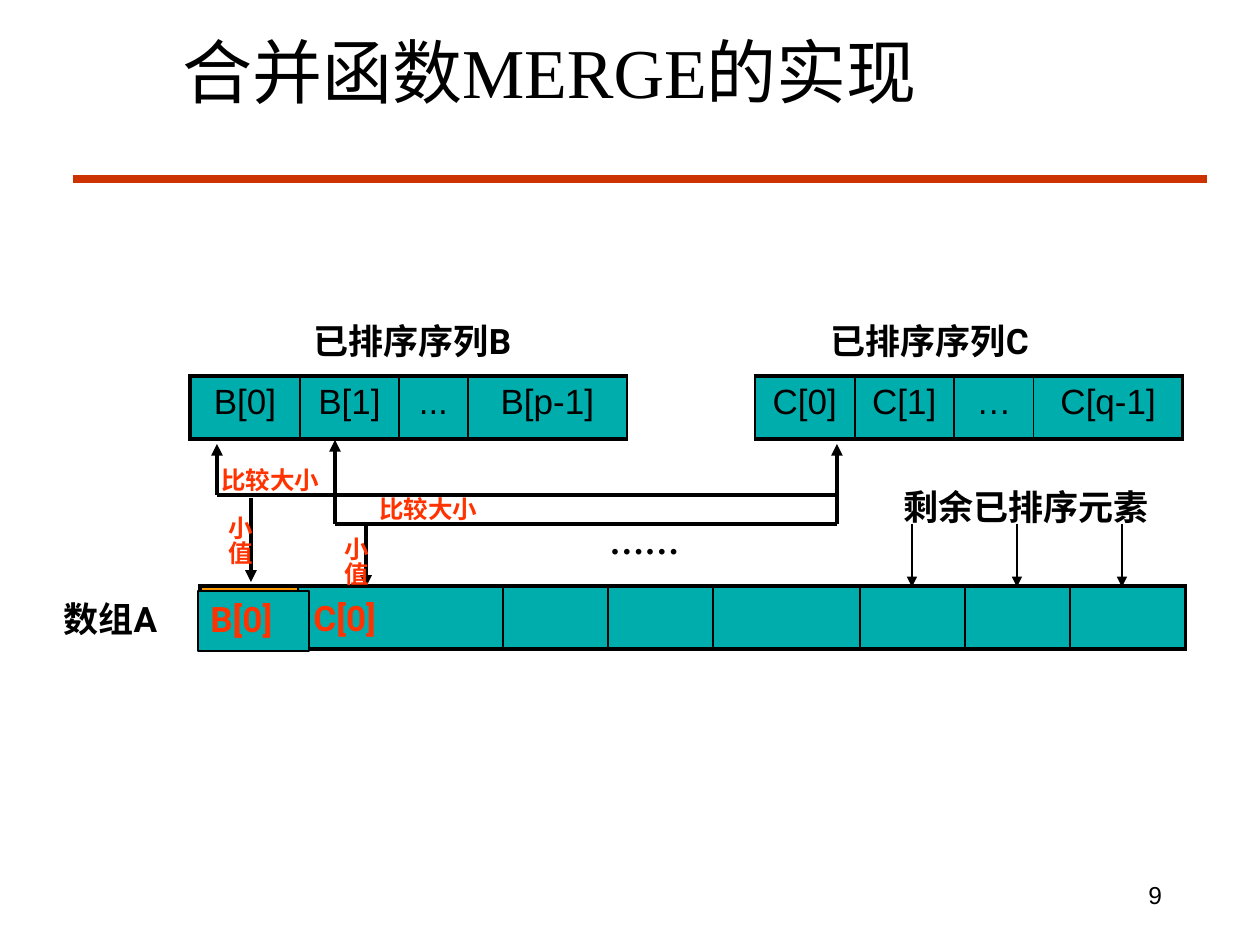
from lxml import etree
from pptx import Presentation
from pptx.dml.color import RGBColor
from pptx.enum import shapes, text
from pptx.oxml.ns import qn
from pptx.util import Pt

SCALE = 914400 / 126  # EMU per px
COLORS = {"ink": "000000", "rule": "CC3300", "teal": "00ADAD",
          "orange": "FF9900", "white": "FFFFFF", "red": "FF3300"}
HEADING = {"name": "Times New Roman", "size": Pt(40), "bold": False}
LABEL = {"name": "Roboto", "size": Pt(20), "bold": True}
NOTE = {"name": "Roboto", "size": Pt(14), "bold": True}
DOTS = {"name": "Times New Roman", "size": Pt(20), "bold": True}
CELL = {"name": "Arial", "size": Pt(20), "bold": False}
PAGE = {"name": "Arial", "size": Pt(14), "bold": False}
THICK, THIN = 2.25, 1


def px(*lengths):
    return [round(length * SCALE) for length in lengths]


def color(name):
    return RGBColor.from_string(COLORS[name])


def write(frame, words, style, ink="ink", align=text.PP_ALIGN.LEFT):
    paragraph = frame.paragraphs[0]
    paragraph.alignment = align
    run = paragraph.add_run()
    run.text = words
    for key, value in style.items():
        setattr(run.font, key, value)
    run.font.color.rgb = color(ink)


def fit_frame(frame):
    frame.word_wrap = False
    frame.auto_size = text.MSO_AUTO_SIZE.SHAPE_TO_FIT_TEXT
    frame.vertical_anchor = text.MSO_ANCHOR.TOP


def add_label(slide, box, words, style, ink="ink", vertical=False):
    frame = slide.shapes.add_textbox(*px(*box)).text_frame
    fit_frame(frame)
    if vertical:
        frame._txBody.bodyPr.set("vert", "eaVert")
    write(frame, words, style, ink)


def add_line(slide, start, end, width=THICK, arrow=False, ink="ink"):
    line = slide.shapes.add_connector(shapes.MSO_CONNECTOR.STRAIGHT, *px(*start, *end))
    line.line.width = Pt(width)
    line.line.color.rgb = color(ink)
    if arrow:
        etree.SubElement(line.line._get_or_add_ln(), qn("a:tailEnd"), type="triangle")
    etree.SubElement(line._element.spPr, qn("a:effectLst"))


def set_borders(cell, widths):
    """Widths in points for left, right, top and bottom; 0 hides the edge."""
    props = cell._tc.get_or_add_tcPr()
    for side, width in zip("LRTB", widths):
        edge = etree.SubElement(props, qn(f"a:ln{side}"), w=str(Pt(width)))
        if width:
            fill = etree.SubElement(edge, qn("a:solidFill"))
            etree.SubElement(fill, qn("a:srgbClr"), val=COLORS["ink"])
        else:
            etree.SubElement(edge, qn("a:noFill"))


def add_array(slide, box, cells):
    """One row of (words, width, fill) cells; a white cell is a gap between arrays."""
    table = slide.shapes.add_table(1, len(cells), *px(*box)).table
    table.first_row = table.horz_banding = False
    table.rows[0].height = px(box[3])[0]
    last = len(cells) - 1
    for i, (words, width, fill) in enumerate(cells):
        table.columns[i].width = px(width)[0]
        cell = table.cell(0, i)
        outer = 0 if fill == "white" else THICK
        set_borders(cell, (THICK if i == 0 else THIN,
                           THICK if i == last else THIN, outer, outer))
        cell.fill.solid()
        cell.fill.fore_color.rgb = color(fill)
        if words:
            write(cell.text_frame, words, CELL, align=text.PP_ALIGN.CENTER)


def add_comparison(slide, box, right_top, right_arrow, drop, compare_at, smaller_at):
    """Bracket joining the compared items, with a drop arrow to the result."""
    left, top, width, height = box
    right, bottom = left + width, top + height
    add_line(slide, (left, bottom), (left, top), arrow=True)
    add_line(slide, (left, bottom), (right, bottom))
    add_line(slide, (right, bottom), (right, top + right_top), arrow=right_arrow)
    drop_x, drop_top, drop_bottom = drop
    add_line(slide, (left + drop_x, top + drop_top),
             (left + drop_x, top + drop_bottom), arrow=True)
    add_label(slide, (left + compare_at[0], top + compare_at[1], 130, 42),
              "比较大小", NOTE, "red")
    add_label(slide, (left + smaller_at[0], top + smaller_at[1], 54, 60),
              "小值", NOTE, "red", vertical=True)


def add_remaining(slide, box):
    """Caption with three evenly spaced arrows into the result array."""
    left, top, width, height = box
    for i in range(3):
        x = left + 21 + 105 * i
        add_line(slide, (x, top + 45), (x, top + height), 0.75, arrow=True)
    add_label(slide, (left, top, width, 54), "剩余已排序元素", LABEL)


def add_first_result(slide, box):
    tile = slide.shapes.add_shape(shapes.MSO_SHAPE.RECTANGLE, *px(*box))
    tile.shadow.inherit = False
    tile.fill.solid()
    tile.fill.fore_color.rgb = color("teal")
    tile.line.color.rgb = color("ink")
    tile.line.width = Pt(0.75)
    fit_frame(tile.text_frame)
    write(tile.text_frame, "B[0]", LABEL, "red")


def add_heading(slide, box, words):
    title = slide.shapes.title
    title.left, title.top, title.width, title.height = px(*box)
    title.text_frame.auto_size = text.MSO_AUTO_SIZE.NONE
    title.text_frame.vertical_anchor = text.MSO_ANCHOR.MIDDLE
    write(title.text_frame, words, HEADING, align=text.PP_ALIGN.CENTER)
    add_line(slide, (73, 179), (1207, 179), 4.5, ink="rule")


def main():
    deck = Presentation()
    deck.slide_width, deck.slide_height = px(1260, 945)
    slide = deck.slides.add_slide(deck.slide_layouts[5])

    # Title, rule and page number
    add_heading(slide, (62, 21, 975, 100), "合并函数MERGE的实现")
    add_label(slide, (1136, 874, 82, 42), "9", PAGE)

    # Sorted sequences B and C
    add_array(slide, (190, 376, 993, 63), [
        ("B[0]", 110, "teal"), ("B[1]", 99, "teal"), ("...", 69, "teal"),
        ("B[p-1]", 159, "teal"), ("", 128, "white"), ("C[0]", 100, "teal"),
        ("C[1]", 99, "teal"), ("…", 80, "teal"), ("C[q-1]", 149, "teal")])
    add_label(slide, (301, 313, 260, 63), "已排序序列B", LABEL)
    add_label(slide, (818, 313, 260, 63), "已排序序列C", LABEL)

    # Result array A
    widths = [98, 205, 105, 105, 147, 105, 105, 116]
    add_array(slide, (200, 586, sum(widths), 63),
              [("", width, "teal" if i else "orange") for i, width in enumerate(widths)])
    add_label(slide, (51, 591, 134, 63), "数组A", LABEL)

    # First and second comparison with their results
    add_comparison(slide, (217, 444, 620, 51), 0, True, (34, 54, 138), (-8, 15), (-10, 60))
    add_first_result(slide, (198, 591, 111, 60))
    add_comparison(slide, (335, 440, 502, 84), 50, False, (31, 84, 147), (32, 48), (-12, 85))
    add_label(slide, (301, 590, 92, 54), "C[0]", LABEL, "red")

    # Further steps and the remaining elements
    add_label(slide, (597, 513, 110, 63), "……", DOTS)
    add_remaining(slide, (891, 479, 271, 108))

    deck.save("out.pptx")


if __name__ == "__main__":
    main()
